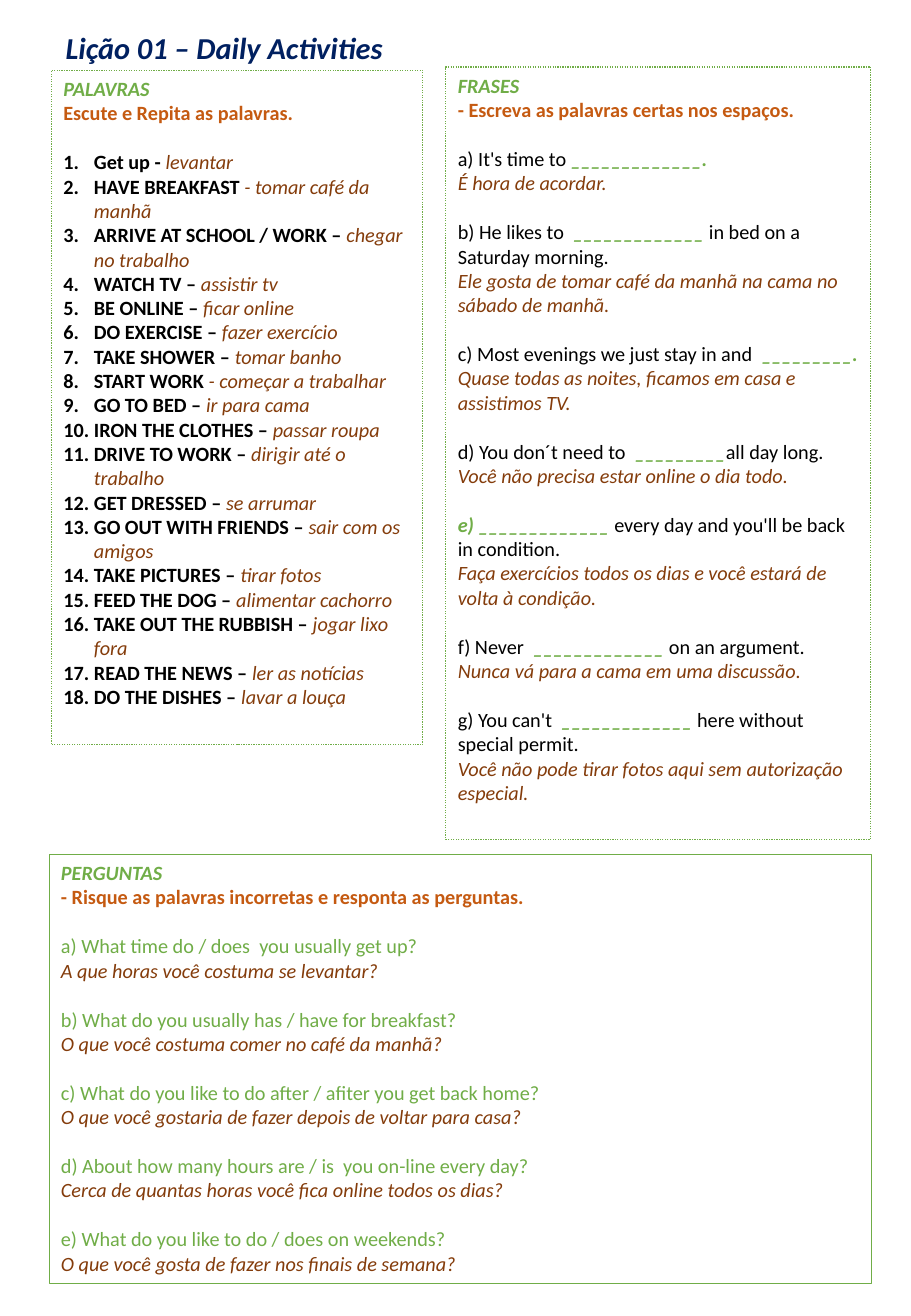
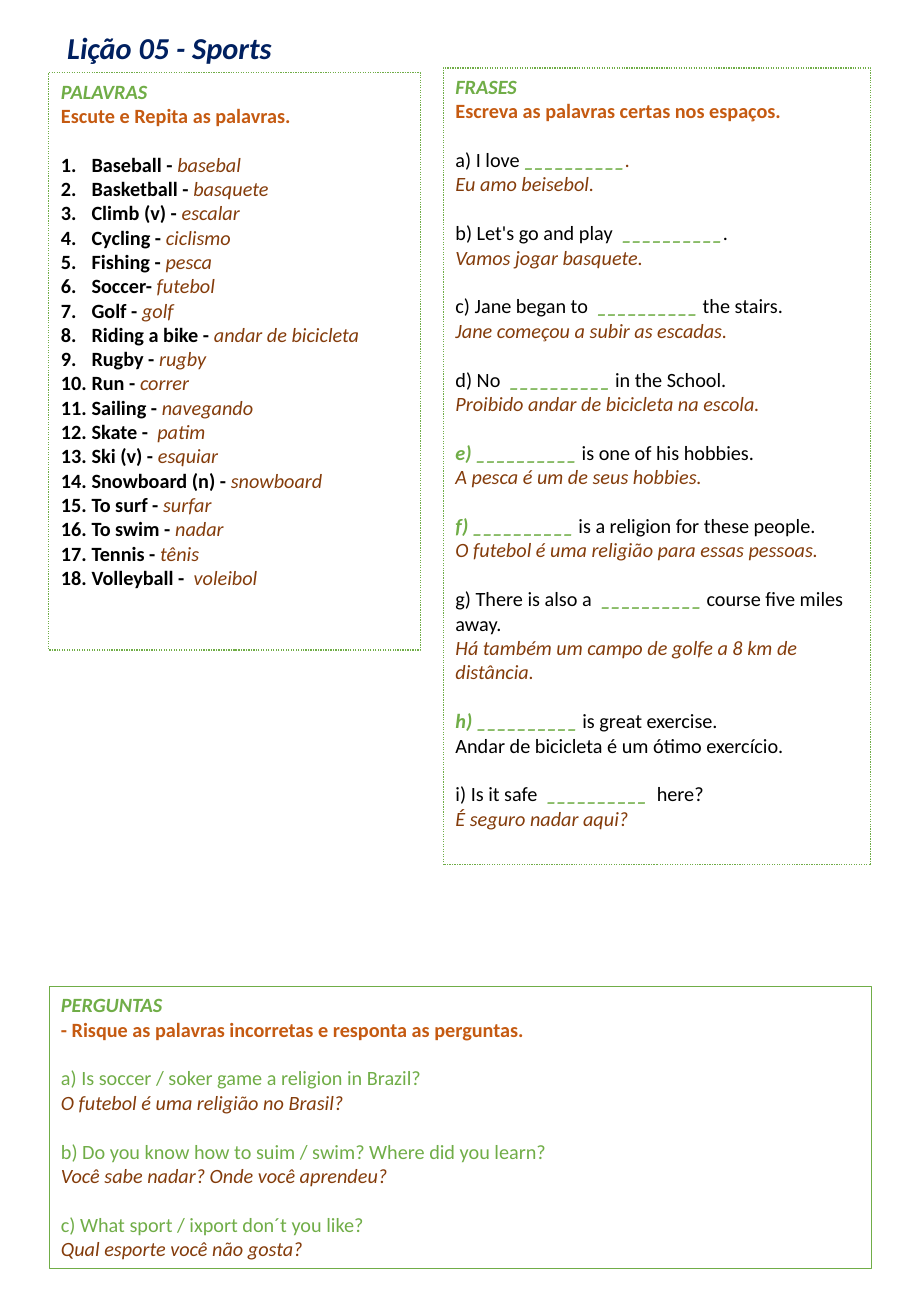
from dataclasses import dataclass, field

from lxml import etree
from pptx import Presentation
from pptx.dml.color import RGBColor
from pptx.enum.dml import MSO_LINE
from pptx.enum.text import MSO_ANCHOR, MSO_AUTO_SIZE, PP_ALIGN
from pptx.oxml.ns import qn
from pptx.util import Cm, Pt

TOP = MSO_ANCHOR.TOP
FIXED = MSO_AUTO_SIZE.NONE
LEFT, CENTER = PP_ALIGN.LEFT, PP_ALIGN.CENTER
DOTTED, SOLID = MSO_LINE.ROUND_DOT, MSO_LINE.SOLID

GREEN, ORANGE, BROWN = "70AD47", "C55A11", "843C0B"
BLACK, NAVY = "000000", "002060"


def style(color, size=12, bold=False, italic=False):
    return {"color": color, "size": Pt(size), "bold": bold, "italic": italic}


@dataclass(frozen=True)
class Theme:
    font: str = "Calibri"
    line_gap: Pt = Pt(14.6)
    number_indent: Cm = Cm(0.64)
    styles: dict = field(default_factory=lambda: {
        "title": style(NAVY, size=18, bold=True, italic=True),
        "heading": style(GREEN, bold=True, italic=True),
        "instruction": style(ORANGE, bold=True),
        "term": style(BLACK, bold=True),
        "text": style(BLACK),
        "blank": style(GREEN, bold=True, italic=True),
        "question": style(GREEN),
        "translation": style(BROWN, italic=True),
    })
    borders: dict = field(default_factory=lambda: {
        "dotted": {"width": Pt(0.75), "dash_style": DOTTED},
        "solid": {"width": Pt(0.25), "dash_style": SOLID},
    })


THEME = Theme()


def set_attributes(target, values):
    for name, value in values.items():
        setattr(target, name, value)


def place(box, bounds):
    names = ("left", "top", "width", "height")
    set_attributes(box, dict(zip(names, map(Cm, bounds))))


def add_spans(para, spans):
    for style_name, text in spans:
        if not text:
            continue
        span = para.add_run()
        span.text = text
        values = dict(THEME.styles[style_name], name=THEME.font)
        span.font.color.rgb = RGBColor.from_string(values.pop("color"))
        set_attributes(span.font, values)


def set_list_marks(para, numbered):
    properties = para._p.get_or_add_pPr()
    indent = THEME.number_indent if numbered else 0
    properties.set("marL", str(indent))
    properties.set("indent", str(-indent))
    if numbered:
        etree.SubElement(properties, qn("a:buFont"), typeface=THEME.font)
        etree.SubElement(properties, qn("a:buAutoNum"), type="arabicPeriod")
    else:
        etree.SubElement(properties, qn("a:buNone"))


def add_title(page, text, bounds):
    box = page.shapes.title
    place(box, bounds)
    frame = box.text_frame
    set_attributes(frame, {"word_wrap": False, "auto_size": FIXED,
                           "vertical_anchor": TOP})
    para = frame.paragraphs[0]
    set_attributes(para, {"alignment": CENTER, "line_spacing": 1.07})
    add_spans(para, [("title", text)])


def fill_panel(box, bounds, border, heading, instruction, groups, numbered=False):
    place(box, bounds)
    box.line.color.rgb = RGBColor.from_string(GREEN)
    set_attributes(box.line, THEME.borders[border])
    frame = box.text_frame
    set_attributes(frame, {"word_wrap": True, "auto_size": FIXED,
                           "vertical_anchor": TOP})
    intro = [[("heading", heading)], [("instruction", instruction)]]
    for group_index, lines in enumerate([intro, *groups]):
        for line_index, spans in enumerate(lines):
            first = group_index == line_index == 0
            para = frame.paragraphs[0] if first else frame.add_paragraph()
            starts_group = group_index > 0 and line_index == 0
            set_attributes(para, {
                "alignment": LEFT,
                "line_spacing": 1.0,
                "space_before": THEME.line_gap if starts_group else Pt(0),
            })
            set_list_marks(para, numbered and group_index > 0)
            add_spans(para, spans)


def sentence(before, blank, after, translation,
             after_style="text", translation_style="translation"):
    return [[("text", before), ("blank", blank), (after_style, after)],
            [(translation_style, translation)]]


def question(english, portuguese):
    return [[("question", english)], [("translation", portuguese)]]


def word(english, portuguese):
    return [("term", english), ("translation", portuguese)]


LONG, SHORT, MEDIUM = "_" * 13, "_" * 9, "_" * 10

DAILY_LESSON = {
    "title": ("Lição 01 – Daily Activities", (1.07, 0.43, 7.24, 1.04)),
    "words_bounds": (1.07, 1.47, 7.77, 14.1),
    "words": [
        ("Get up - ", "levantar"),
        ("HAVE BREAKFAST ", "- tomar café da manhã"),
        ("ARRIVE AT SCHOOL / WORK – ", "chegar no trabalho"),
        ("WATCH TV – ", "assistir tv"),
        ("BE ONLINE – ", "ficar online"),
        ("DO EXERCISE – ", "fazer exercício"),
        ("TAKE SHOWER – ", "tomar banho"),
        ("START WORK ", "- começar a trabalhar"),
        ("GO TO BED – ", "ir para cama"),
        ("IRON THE CLOTHES – ", "passar roupa"),
        ("DRIVE TO WORK – ", "dirigir até o trabalho"),
        ("GET DRESSED – ", "se arrumar"),
        ("GO OUT WITH FRIENDS – ", "sair com os amigos"),
        ("TAKE PICTURES – ", "tirar fotos"),
        ("FEED THE DOG – ", "alimentar cachorro"),
        ("TAKE OUT THE RUBBISH – ", "jogar lixo fora"),
        ("READ THE NEWS – ", "ler as notícias"),
        ("DO THE DISHES – ", "lavar a louça"),
    ],
    "sentences_bounds": (9.32, 1.4, 8.89, 16.15),
    "sentences_instruction": "- Escreva as palavras certas nos espaços.",
    "sentences": [
        ("a) It's time to ", LONG + ".", "", "É hora de acordar."),
        ("b) He likes to  ", LONG, " in bed on a Saturday morning.",
         "Ele gosta de tomar café da manhã na cama no sábado de manhã."),
        ("c) Most evenings we just stay in and ", " " + SHORT + ".", "",
         "Quase todas as noites, ficamos em casa e assistimos TV."),
        ("d) You don´t need to ", " " + SHORT, "all day long.",
         "Você não precisa estar online o dia todo."),
        ("", "e) " + LONG, " every day and you'll be back in condition.",
         "Faça exercícios todos os dias e você estará de volta à condição."),
        ("f) Never  ", LONG, " on an argument.",
         "Nunca vá para a cama em uma discussão."),
        ("g) You can't  ", LONG, " here without special permit.",
         "Você não pode tirar fotos aqui sem autorização especial."),
    ],
    "questions_bounds": (1.02, 17.86, 17.2, 8.97),
    "questions": [
        ("a) What time do / does  you usually get up?",
         "A que horas você costuma se levantar?"),
        ("b) What do you usually has / have for breakfast?",
         "O que você costuma comer no café da manhã?"),
        ("c) What do you like to do after / afiter you get back home?",
         "O que você gostaria de fazer depois de voltar para casa?"),
        ("d) About how many hours are / is  you on-line every day?",
         "Cerca de quantas horas você fica online todos os dias?"),
        ("e) What do you like to do / does on weekends?",
         "O que você gosta de fazer nos finais de semana?"),
    ],
}

SPORTS_LESSON = {
    "title": ("Lição 05 - Sports", (1.12, 0.43, 4.85, 1.09)),
    "words_bounds": (1.02, 1.52, 7.77, 12.07),
    "words": [
        ("Baseball - ", "basebal"),
        ("Basketball - ", "basquete"),
        ("Climb (v) - ", "escalar"),
        ("Cycling - ", "ciclismo"),
        ("Fishing - ", "pesca"),
        ("Soccer- ", "futebol"),
        ("Golf - ", "golf"),
        ("Riding a bike - ", "andar de bicicleta"),
        ("Rugby - ", "rugby"),
        ("Run - ", "correr"),
        ("Sailing - ", "navegando"),
        ("Skate -  ", "patim"),
        ("Ski (v) - ", "esquiar"),
        ("Snowboard (n) - ", "snowboard"),
        ("To surf - ", "surfar"),
        ("To swim - ", "nadar"),
        ("Tennis - ", "tênis"),
        ("Volleyball -  ", "voleibol"),
    ],
    "sentences_bounds": (9.27, 1.42, 8.94, 16.66),
    "sentences_instruction": "Escreva as palavras certas nos espaços.",
    "sentences": [
        ("a) I love ", MEDIUM, ".", "Eu amo beisebol.", "translation"),
        ("b) Let's go and play  ", MEDIUM, ".", "Vamos jogar basquete."),
        ("c) Jane began to  ", MEDIUM + " ", "the stairs.",
         "Jane começou a subir as escadas."),
        ("d) No  ", MEDIUM, " in the School.",
         "Proibido andar de bicicleta na escola."),
        ("", "e) " + MEDIUM, " is one of his hobbies.",
         "A pesca é um de seus hobbies."),
        ("", "f) " + MEDIUM, " is a religion for these people.",
         "O futebol é uma religião para essas pessoas."),
        ("g) There is also a  ", MEDIUM, " course five miles away.",
         "Há também um campo de golfe a 8 km de distância."),
        ("", "h) " + MEDIUM, " is great exercise.",
         "Andar de bicicleta é um ótimo exercício.", "text", "text"),
        ("i) Is it safe ", " " + MEDIUM + " ", " here?",
         "É seguro nadar aqui?"),
    ],
    "questions_bounds": (1.02, 20.62, 17.2, 5.89),
    "questions": [
        ("a) Is soccer / soker game a religion in Brazil?",
         "O futebol é uma religião no Brasil?"),
        ("b) Do you know how to suim / swim? Where did you learn?",
         "Você sabe nadar? Onde você aprendeu?"),
        ("c) What sport / ixport don´t you like?",
         "Qual esporte você não gosta?"),
    ],
}


def add_lesson(deck, lesson):
    page = deck.slides.add_slide(deck.slide_layouts.get_by_name("Comparison"))
    add_title(page, *lesson["title"])
    words_box, sentences_box, questions_box, spare = list(page.placeholders)[1:]
    spare.element.getparent().remove(spare.element)
    fill_panel(words_box, lesson["words_bounds"], "dotted", "PALAVRAS",
               "Escute e Repita as palavras.",
               [[word(*entry) for entry in lesson["words"]]], numbered=True)
    fill_panel(sentences_box, lesson["sentences_bounds"], "dotted", "FRASES",
               lesson["sentences_instruction"],
               [sentence(*entry) for entry in lesson["sentences"]])
    fill_panel(questions_box, lesson["questions_bounds"], "solid", "PERGUNTAS",
               "- Risque as palavras incorretas e responta as perguntas.",
               [question(*entry) for entry in lesson["questions"]])


def main():
    deck = Presentation()
    set_attributes(deck, {"slide_width": Cm(19.05), "slide_height": Cm(27.51)})
    for lesson in (DAILY_LESSON, SPORTS_LESSON):
        add_lesson(deck, lesson)
    deck.save("out.pptx")


if __name__ == "__main__":
    main()
